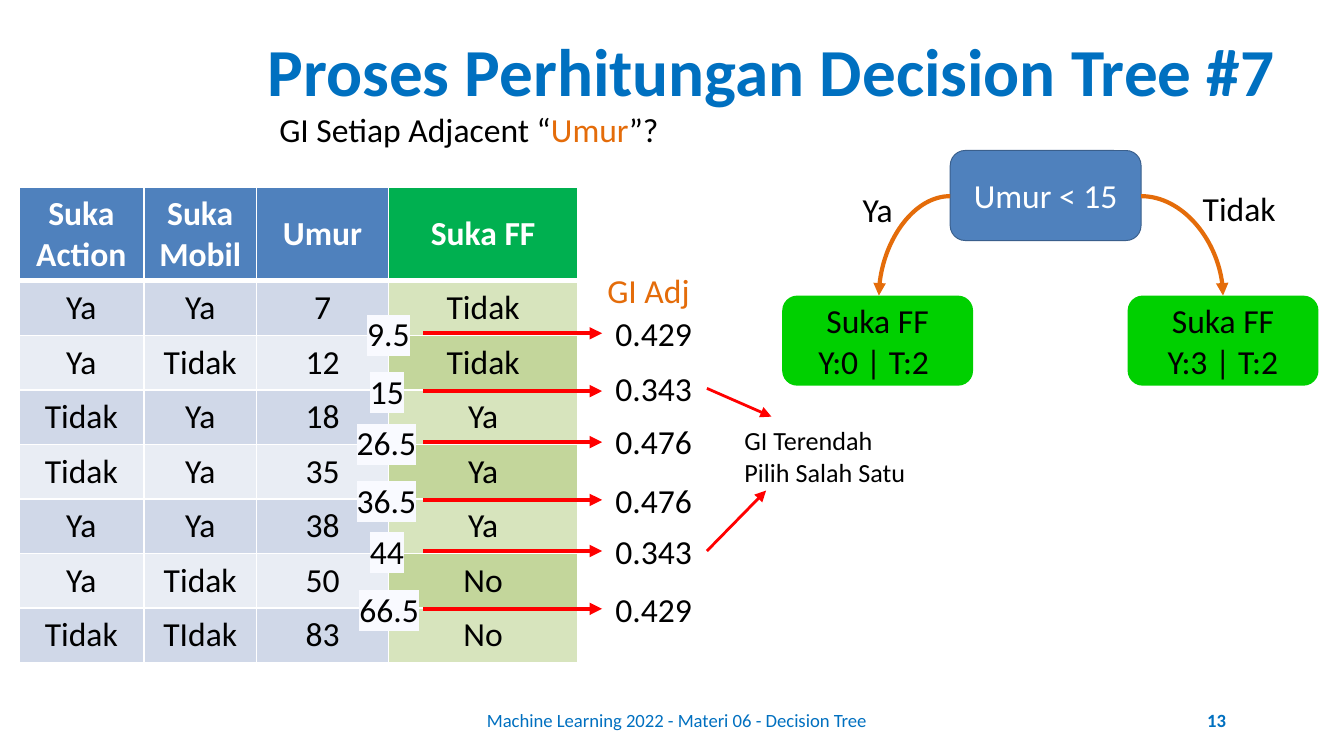
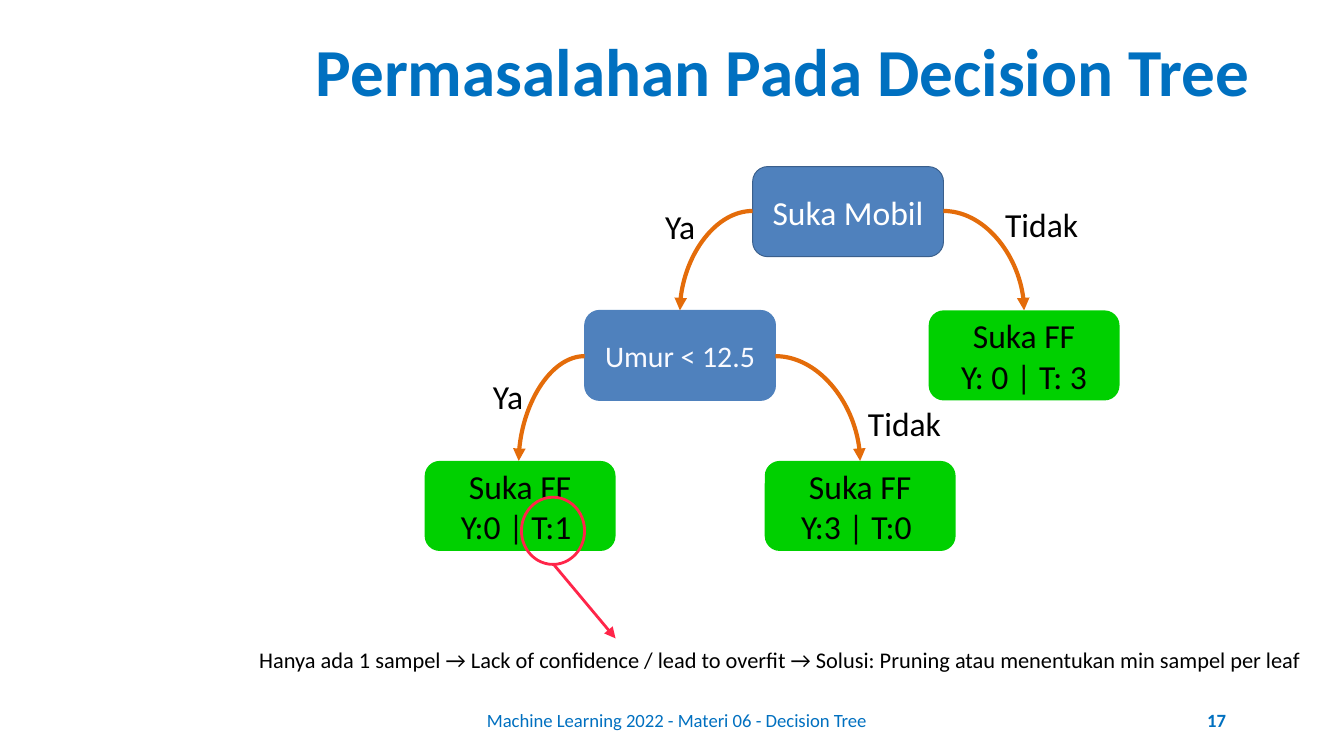
from lxml.etree import SubElement
from pptx import Presentation
from pptx.dml.color import RGBColor
from pptx.enum.shapes import MSO_CONNECTOR, MSO_SHAPE
from pptx.enum.text import MSO_ANCHOR, PP_ALIGN
from pptx.oxml.ns import qn
from pptx.util import Inches, Pt

FONT = "Calibri"
HEX = {
    "blue": "0070C0", "node": "4F81BD", "edge": "3A5F8C", "leaf": "00D000",
    "head": "00B050", "orange": "E46C0A", "red": "FF0000", "rose": "FF2549",
    "white": "FFFFFF", "pale": "F9FAFF", "black": "000000",
    "odd": "D0D8E8", "even": "E9EDF4", "odd_ff": "D7E4BD", "even_ff": "C3D69B",
}
RGB = {name: RGBColor.from_string(code) for name, code in HEX.items()}
LEFT, MID, RIGHT = PP_ALIGN.LEFT, PP_ALIGN.CENTER, PP_ALIGN.RIGHT


def write(frame, text, size=18, color="black", align=LEFT, bold=False):
    """Fill a text frame, one paragraph to a line."""
    frame.text = text
    for para in frame.paragraphs:
        para.alignment = align
        font = para.font
        font.name, font.size, font.bold = FONT, Pt(size), bold
        font.color.rgb = RGB[color]
    return frame


def arrow(slide, start, end, color, width, curved=False):
    """Draw an arrow; a curved one leaves sideways and lands downwards."""
    kind = MSO_CONNECTOR.CURVE if curved else MSO_CONNECTOR.STRAIGHT
    ends = [Inches(n) for n in (*start, *end)]
    line = slide.shapes.add_connector(kind, *ends)
    line.line.color.rgb = RGB[color]
    line.line.width = Pt(width)
    props = line._element.spPr
    if curved:
        props.find(qn("a:prstGeom")).set("prst", "curvedConnector2")
    SubElement(props.find(qn("a:ln")), qn("a:tailEnd"), type="triangle")
    SubElement(props, qn("a:effectLst"))


# Widescreen, 16 to 9
deck = Presentation()
deck.slide_width = Inches(10)
deck.slide_height = Inches(10) * 9 // 16

# Node: left, top, text, size, fill, line, text colour
# Curve: start, end; label: left, top, width, text, size, colour
NODE_W, NODE_H = 1.42, 0.67
pages = [
    {
        "title": "Proses Perhitungan Decision Tree #7", "wide": 7.82, "num": "13",
        "nodes": [
            (7.07, 1.12, "Umur < 15", 18, "node", "edge", "white"),
            (5.82, 2.2, "Suka FF\nY:0 | T:2 ", 18, "leaf", None, "black"),
            (8.39, 2.2, "Suka FF\nY:3 | T:2", 18, "leaf", None, "black"),
        ],
        "curves": [((7.07, 1.46), (6.54, 2.2)), ((8.49, 1.46), (9.1, 2.2))],
        "labels": [
            (6.32, 1.36, 0.43, "Ya", 18, "black"),
            (8.85, 1.35, 0.75, "Tidak", 18, "black"),
            (4.42, 1.96, 0.82, "GI Adj", 18, "orange"),
            (5.44, 3.11, 1.41, "GI Terendah\nPilih Salah Satu", 14, "black"),
        ],
    },
    {
        "title": "Permasalahan Pada Decision Tree", "wide": 7.99, "num": "17",
        "nodes": [
            (5.6, 1.24, "Suka Mobil", 18, "node", "edge", "white"),
            (4.35, 2.31, "Umur < 12.5", 16, "node", "node", "pale"),
            (6.91, 2.31, "Suka FF\nY: 0 | T: 3", 18, "leaf", None, "black"),
            (3.16, 3.43, "Suka FF\nY:0 | T:1 ", 18, "leaf", None, "black"),
            (5.69, 3.43, "Suka FF\nY:3 | T:0 ", 18, "leaf", None, "black"),
        ],
        "curves": [
            ((5.6, 1.57), (5.06, 2.31)), ((7.02, 1.57), (7.62, 2.31)),
            ((4.35, 2.65), (3.86, 3.43)), ((5.77, 2.65), (6.4, 3.43)),
        ],
        "labels": [
            (4.85, 1.48, 0.43, "Ya", 18, "black"),
            (7.38, 1.47, 0.75, "Tidak", 18, "black"),
            (3.57, 2.75, 0.43, "Ya", 18, "black"),
            (6.36, 2.95, 0.75, "Tidak", 18, "black"),
            (1.83, 4.76, 8.01, "Hanya ada 1 sampel → Lack of confidence / lead to overfit"
             " → Solusi: Pruning atau menentukan min sampel per leaf", 12, "black"),
        ],
    },
]

# Title, footer and tree of each slide
slides = []
for page in pages:
    slide = deck.slides.add_slide(deck.slide_layouts[6])
    slides.append(slide)
    for left, top, wide, high, text, size, align, bold in [
        (2.55, 5.21, 4.97, 0.3, "Machine Learning 2022 - Materi 06 - Decision Tree",
         10, MID, False),
        (7.52, 5.21, 1.7, 0.3, page["num"], 10, RIGHT, True),
        (1.83, 0.28, page["wide"], 0.48, page["title"], 36, MID, True),
    ]:
        box = slide.shapes.add_textbox(Inches(left), Inches(top), Inches(wide), Inches(high))
        frame = write(box.text_frame, text, size, "blue", align, bold)
        frame.word_wrap = True
        frame.vertical_anchor = MSO_ANCHOR.MIDDLE

    for left, top, text, size, fill, edge, color in page["nodes"]:
        node = slide.shapes.add_shape(MSO_SHAPE.ROUNDED_RECTANGLE, Inches(left), Inches(top),
                                      Inches(NODE_W), Inches(NODE_H))
        node.shadow.inherit = False
        node.fill.solid()
        node.fill.fore_color.rgb = RGB[fill]
        if edge:
            node.line.color.rgb = RGB[edge]
            node.line.width = Pt(0.5)
        else:
            node.line.fill.background()
        write(node.text_frame, text, size, color, MID).vertical_anchor = MSO_ANCHOR.MIDDLE

    for start, end in page["curves"]:
        arrow(slide, start, end, "orange", 2.25, curved=True)

    for left, top, wide, text, size, color in page["labels"]:
        box = slide.shapes.add_textbox(Inches(left), Inches(top), Inches(wide), Inches(0.4))
        write(box.text_frame, text, size, color).word_wrap = False

first, last = slides

# Question with one word in orange
box = first.shapes.add_textbox(Inches(1.98), Inches(0.76), Inches(3.07), Inches(0.4))
frame = write(box.text_frame, "GI Setiap Adjacent “")
frame.word_wrap = False
for text, color in [("Umur", "orange"), ("”?", "black")]:
    run = frame.paragraphs[0].add_run()
    run.text = text
    run.font.color.rgb = RGB[color]

# Data table
rows = [
    ("Suka Action", "Suka Mobil", "Umur", "Suka FF"),
    ("Ya", "Ya", "7", "Tidak"),
    ("Ya", "Tidak", "12", "Tidak"),
    ("Tidak", "Ya", "18", "Ya"),
    ("Tidak", "Ya", "35", "Ya"),
    ("Ya", "Ya", "38", "Ya"),
    ("Ya", "Tidak", "50", "No"),
    ("Tidak", "TIdak", "83", "No"),
]
grid = first.shapes.add_table(len(rows), 4, Inches(0.14), Inches(1.39),
                              Inches(4.16), Inches(3.54)).table
grid.first_row = grid.horz_banding = False
for col, wide in zip(grid.columns, (0.93, 0.84, 0.98, 1.41)):
    col.width = Inches(wide)
for r, row in enumerate(rows):
    grid.rows[r].height = Pt(29.2)
    for c, text in enumerate(row):
        cell = grid.cell(r, c)
        cell.vertical_anchor = MSO_ANCHOR.MIDDLE
        write(cell.text_frame, text, 18, "black" if r else "white", MID, r == 0)
        if r == 0:
            fill = "head" if c == 3 else "node"
        else:
            fill = ("odd" if r % 2 else "even") + ("_ff" if c == 3 else "")
        props = cell._tc.get_or_add_tcPr()
        for side in "LRTB":
            thick = (side == "B" and r == 0) or (side == "T" and r == 1)
            line = SubElement(props, qn("a:ln" + side), w=str(Pt(3 if thick else 1)))
            paint = SubElement(line, qn("a:solidFill"))
            SubElement(paint, qn("a:srgbClr"), val=HEX["white"])
        cell.fill.solid()
        cell.fill.fore_color.rgb = RGB[fill]

# Split points, their arrows and Gini values
for left, top, wide, split, down, gini in [
    (2.63, 2.28, 0.52, "9.5", 2.28, "0.429"),
    (2.65, 2.71, 0.46, "15", 2.69, "0.343"),
    (2.55, 3.09, 0.65, "26.5", 3.08, "0.476"),
    (2.55, 3.52, 0.65, "36.5", 3.52, "0.476"),
    (2.65, 3.9, 0.46, "44", 3.9, "0.343"),
    (2.57, 4.33, 0.65, "66.5", 4.33, "0.429"),
]:
    box = first.shapes.add_textbox(Inches(left), Inches(top), Inches(wide), Inches(0.4))
    frame = write(box.text_frame, split, align=MID)
    frame.word_wrap = False
    props = frame.paragraphs[0].runs[0].font._element
    mark = SubElement(props, qn("a:highlight"))
    SubElement(mark, qn("a:srgbClr"), val=HEX["pale"])
    box = first.shapes.add_textbox(Inches(4.48), Inches(down), Inches(0.78), Inches(0.4))
    write(box.text_frame, gini).word_wrap = False
    mid = top + 0.2
    arrow(first, (3.15, mid), (4.48, mid), "red", 2.25)

# Pointers to the lowest values
arrow(first, (5.26, 2.89), (5.74, 3.1), "red", 1.5)
arrow(first, (5.26, 4.1), (5.7, 3.65), "red", 1.5)

# Ring around the lone sample
ring = last.shapes.add_shape(MSO_SHAPE.OVAL, Inches(3.88), Inches(3.7), Inches(0.47), Inches(0.5))
ring.shadow.inherit = False
ring.fill.background()
ring.line.color.rgb = RGB["rose"]
ring.line.width = Pt(1.5)
arrow(last, (4.12, 4.2), (4.58, 4.75), "rose", 1.5)

deck.save("out.pptx")
